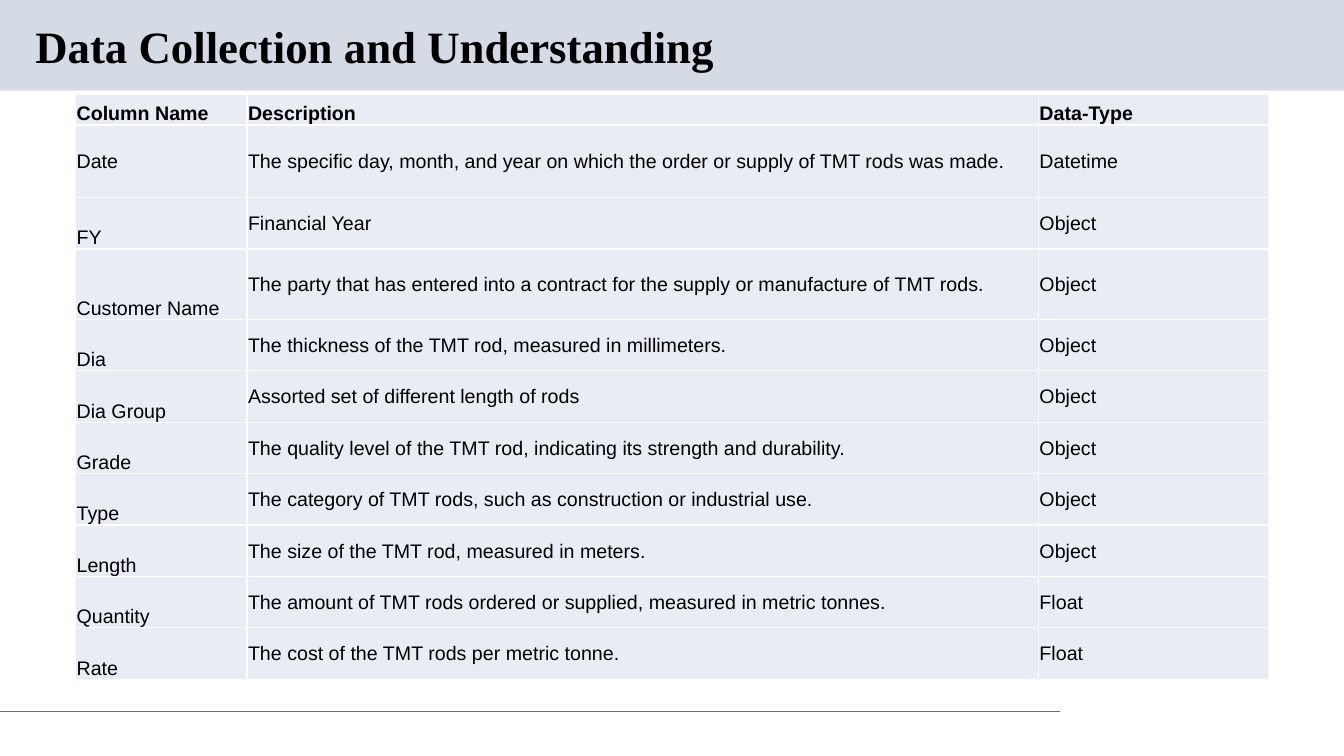
from dataclasses import dataclass

from lxml import etree
from pptx import Presentation
from pptx.dml.color import RGBColor
from pptx.enum.shapes import MSO_CONNECTOR, MSO_SHAPE
from pptx.enum.text import MSO_ANCHOR, PP_ALIGN
from pptx.oxml.ns import qn
from pptx.util import Inches, Pt

RECT, STRAIGHT = MSO_SHAPE.RECTANGLE, MSO_CONNECTOR.STRAIGHT
MIDDLE, BOTTOM = MSO_ANCHOR.MIDDLE, MSO_ANCHOR.BOTTOM
LEFT, JUSTIFY = PP_ALIGN.LEFT, PP_ALIGN.JUSTIFY

# Content
TITLE = "Data Collection and Understanding"
ROWS = [
    ("Column Name", "Description", "Data-Type"),
    ("Date", "The specific day, month, and year on which the order or supply of TMT rods was made.", "Datetime"),
    ("FY", "Financial Year", "Object"),
    ("Customer Name", "The party that has entered into a contract for the supply or manufacture of TMT rods.", "Object"),
    ("Dia", "The thickness of the TMT rod, measured in millimeters.", "Object"),
    ("Dia Group", "Assorted set of different length of rods", "Object"),
    ("Grade", "The quality level of the TMT rod, indicating its strength and durability.", "Object"),
    ("Type", "The category of TMT rods, such as construction or industrial use.", "Object"),
    ("Length", "The size of the TMT rod, measured in meters.", "Object"),
    ("Quantity", "The amount of TMT rods ordered or supplied, measured in metric tonnes.", "Float"),
    ("Rate", "The cost of the TMT rods per metric tonne.", "Float"),
]
COL_WIDTHS = (1.7, 7.85, 2.28)
ROW_HEIGHT = 0.51
SPECIAL_HEIGHTS = {0: 0.3, 1: 0.72, 3: 0.7}


@dataclass(frozen=True)
class Theme:
    band: str = "D5DBE5"
    rule: str = "4472C4"
    cell: str = "E9EBF5"
    border: str = "FFFFFF"
    text: str = "000000"
    title_font: str = "Times New Roman"
    body_font: str = "Arial"
    title_size: int = 32
    body_size: int = 14
    rule_width: float = 0.75
    border_width: int = 1


THEME = Theme()


def rgb(value):
    return RGBColor.from_string(value)


def add_run(p, text, font, size, bold):
    r = p.add_run()
    r.text = text
    r.font.name, r.font.size, r.font.bold = font, Pt(size), bold
    r.font.color.rgb = rgb(THEME.text)


def set_borders(cell):
    tc_pr = cell._tc.get_or_add_tcPr()
    for side in ("lnL", "lnR", "lnT", "lnB"):
        ln = etree.SubElement(tc_pr, qn(f"a:{side}"), w=str(Pt(THEME.border_width)))
        fill = etree.SubElement(ln, qn("a:solidFill"))
        etree.SubElement(fill, qn("a:srgbClr"), val=THEME.border)


def add_background(s):
    # Header band
    band = s.shapes.add_shape(RECT, 0, 0, Inches(13.33), Inches(0.9))
    band.shadow.inherit = False
    band.fill.solid()
    band.fill.fore_color.rgb = rgb(THEME.band)
    band.line.fill.background()

    # Footer rule
    rule = s.shapes.add_connector(STRAIGHT, 0, Inches(7.06), Inches(10.51), Inches(7.06))
    rule.line.color.rgb = rgb(THEME.rule)
    rule.line.width = Pt(THEME.rule_width)
    etree.SubElement(rule._element.spPr, qn("a:effectLst"))


def add_title(s):
    title = s.shapes.title
    s.shapes._spTree.append(title._element)  # in front of the band
    title.left, title.top = Inches(0.25), Inches(0.19)
    title.width, title.height = Inches(11.5), Inches(0.59)
    tf = title.text_frame
    tf.word_wrap = True
    tf.vertical_anchor = MIDDLE
    p = tf.paragraphs[0]
    p.alignment, p.line_spacing = LEFT, 0.9
    add_run(p, TITLE, THEME.title_font, THEME.title_size, True)


def add_columns_table(s):
    heights = [SPECIAL_HEIGHTS.get(i, ROW_HEIGHT) for i in range(len(ROWS))]
    frame = s.shapes.add_table(len(ROWS), len(COL_WIDTHS), Inches(0.75), Inches(0.94),
                               Inches(sum(COL_WIDTHS)), Inches(sum(heights)))
    table = frame.table
    table.first_row = table.horz_banding = False
    for column, width in zip(table.columns, COL_WIDTHS):
        column.width = Inches(width)
    for i, (texts, height) in enumerate(zip(ROWS, heights)):
        table.rows[i].height = Inches(height)
        for j, text in enumerate(texts):
            cell = table.cell(i, j)
            set_borders(cell)
            cell.fill.solid()
            cell.fill.fore_color.rgb = rgb(THEME.cell)
            cell.margin_left = cell.margin_right = cell.margin_top = Inches(0.01)
            cell.margin_bottom = 0
            # Header and column names sit low, except in the Date row
            cell.vertical_anchor = BOTTOM if i == 0 or (j == 0 and i > 1) else MIDDLE
            p = cell.text_frame.paragraphs[0]
            p.alignment = JUSTIFY
            add_run(p, text, THEME.body_font, THEME.body_size, i == 0)


def main():
    prs = Presentation()
    prs.slide_width, prs.slide_height = Inches(13.33), Inches(7.5)
    s = prs.slides.add_slide(prs.slide_layouts[5])
    add_background(s)
    add_title(s)
    add_columns_table(s)
    prs.save("out.pptx")


if __name__ == "__main__":
    main()
